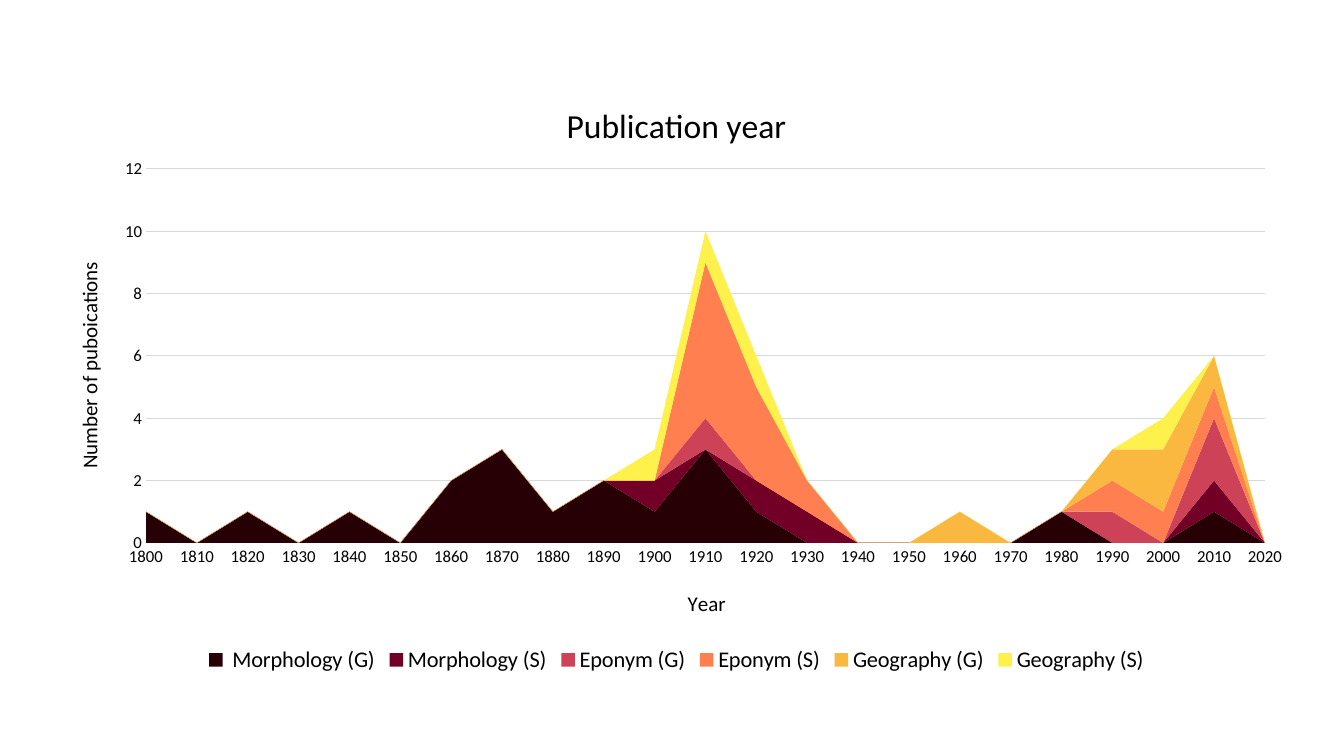
from lxml import etree
from pptx import Presentation
from pptx.chart.data import CategoryChartData
from pptx.dml.color import RGBColor
from pptx.enum.chart import XL_CHART_TYPE, XL_LEGEND_POSITION, XL_TICK_MARK
from pptx.oxml.ns import qn
from pptx.util import Pt

STACKED = XL_CHART_TYPE.AREA_STACKED
BOTTOM = XL_LEGEND_POSITION.BOTTOM
NO_TICK = XL_TICK_MARK.NONE
PX = 914400 / 100.8
FONT = "Calibri"
COLORS = {"text": "000000", "line": "D9D9D9"}
LEFT, TOP, WIDTH, HEIGHT = 46, 80, 1261, 598


def set_title(title, text, size):
    para = title.text_frame.paragraphs[0]
    span = para.add_run()
    span.text = text
    span.font.name = FONT
    span.font.size = Pt(size)
    span.font.bold = False
    span.font.color.rgb = RGBColor.from_string(COLORS["text"])


def place(element, index, **fractions):
    """Put a chart part at fractions of the chart's size."""
    for old in element.findall(qn("c:layout")):
        element.remove(old)
    layout = etree.Element(qn("c:layout"))
    manual = etree.SubElement(layout, qn("c:manualLayout"))
    if "w" in fractions:
        etree.SubElement(manual, qn("c:layoutTarget")).set("val", "inner")
    for side in ("x", "y"):
        etree.SubElement(manual, qn(f"c:{side}Mode")).set("val", "edge")
    for key, value in fractions.items():
        etree.SubElement(manual, qn(f"c:{key}")).set("val", f"{value:.4f}")
    element.insert(index, layout)


deck = Presentation()
deck.slide_width = round(1344 * PX)
deck.slide_height = round(756 * PX)
page = deck.slides.add_slide(deck.slide_layouts[6])

# Publications per decade
series_rows = [
    (" Morphology (G)", "260005",
     [1, 0, 1, 0, 1, 0, 2, 3, 1, 2, 1, 3, 1, 0, 0, 0, 0, 0, 1, 0, 0, 1, 0]),
    ("Morphology (S)", "720026",
     [0, 0, 0, 0, 0, 0, 0, 0, 0, 0, 1, 0, 1, 1, 0, 0, 0, 0, 0, 0, 0, 1, 0]),
    ("Eponym (G)", "CE4257",
     [0, 0, 0, 0, 0, 0, 0, 0, 0, 0, 0, 1, 0, 0, 0, 0, 0, 0, 0, 1, 0, 2, 0]),
    ("Eponym (S)", "FF7F51",
     [0, 0, 0, 0, 0, 0, 0, 0, 0, 0, 0, 5, 3, 1, 0, 0, 0, 0, 0, 1, 1, 1, 0]),
    ("Geography (G)", "FAB840",
     [0, 0, 0, 0, 0, 0, 0, 0, 0, 0, 0, 0, 0, 0, 0, 0, 1, 0, 0, 1, 2, 1, 0]),
    ("Geography (S)", "FEF14C",
     [0, 0, 0, 0, 0, 0, 0, 0, 0, 0, 1, 1, 1, 0, 0, 0, 0, 0, 0, 0, 1, 0, 0]),
]
data = CategoryChartData(number_format="General")
data.categories = [str(year) for year in range(1800, 2021, 10)]
for name, color, values in series_rows:
    data.add_series(name, values)

# Stacked area chart
bounds = [round(side * PX) for side in (LEFT, TOP, WIDTH, HEIGHT)]
chart = page.shapes.add_chart(STACKED, *bounds, data).chart
chart.font.name = FONT
chart.font.size = Pt(10)
chart.font.color.rgb = RGBColor.from_string(COLORS["text"])
plot = chart.plots[0]
plot.vary_by_categories = False
for series, (name, color, values) in zip(plot.series, series_rows):
    series.format.fill.solid()
    series.format.fill.fore_color.rgb = RGBColor.from_string(color)
    series.format.line.fill.background()

# Titles
years, counts = chart.category_axis, chart.value_axis
chart.has_title = True
set_title(chart.chart_title, "Publication year", 24)
set_title(years.axis_title, "Year", 15)
set_title(counts.axis_title, "Number of puboications", 15)

# Axes and gridlines
for axis in (years, counts):
    axis.major_tick_mark = axis.minor_tick_mark = NO_TICK
    axis.tick_labels.font.name = FONT
    axis.tick_labels.font.size = Pt(12)
    axis.tick_labels.font.color.rgb = RGBColor.from_string(COLORS["text"])
years.has_major_gridlines = False
counts.has_major_gridlines = True
for line in (years.format.line, counts.major_gridlines.format.line):
    line.color.rgb = RGBColor.from_string(COLORS["line"])
    line.width = Pt(0.75)
counts.format.line.fill.background()
counts.minimum_scale, counts.maximum_scale, counts.major_unit = 0, 12, 2
plot_area = chart.element.find(".//" + qn("c:plotArea"))
plot_area.find(".//" + qn("c:crossBetween")).set("val", "midCat")

# Legend
chart.has_legend = True
chart.legend.position = BOTTOM
chart.legend.include_in_layout = False
chart.legend.font.name = FONT
chart.legend.font.size = Pt(16)
chart.legend.font.color.rgb = RGBColor.from_string(COLORS["text"])

# Positions of the plot and the axis titles
place(plot_area, 0, x=(146 - LEFT) / WIDTH, y=(169 - TOP) / HEIGHT,
      w=1119 / WIDTH, h=374 / HEIGHT)
for axis, left, top in ((years, 684, 585), (counts, 71, 258)):
    place(axis.axis_title.format.element if hasattr(axis.axis_title.format, "element")
          else axis.axis_title._element, 1,
          x=(left - LEFT) / WIDTH, y=(top - TOP) / HEIGHT)

deck.save("out.pptx")
